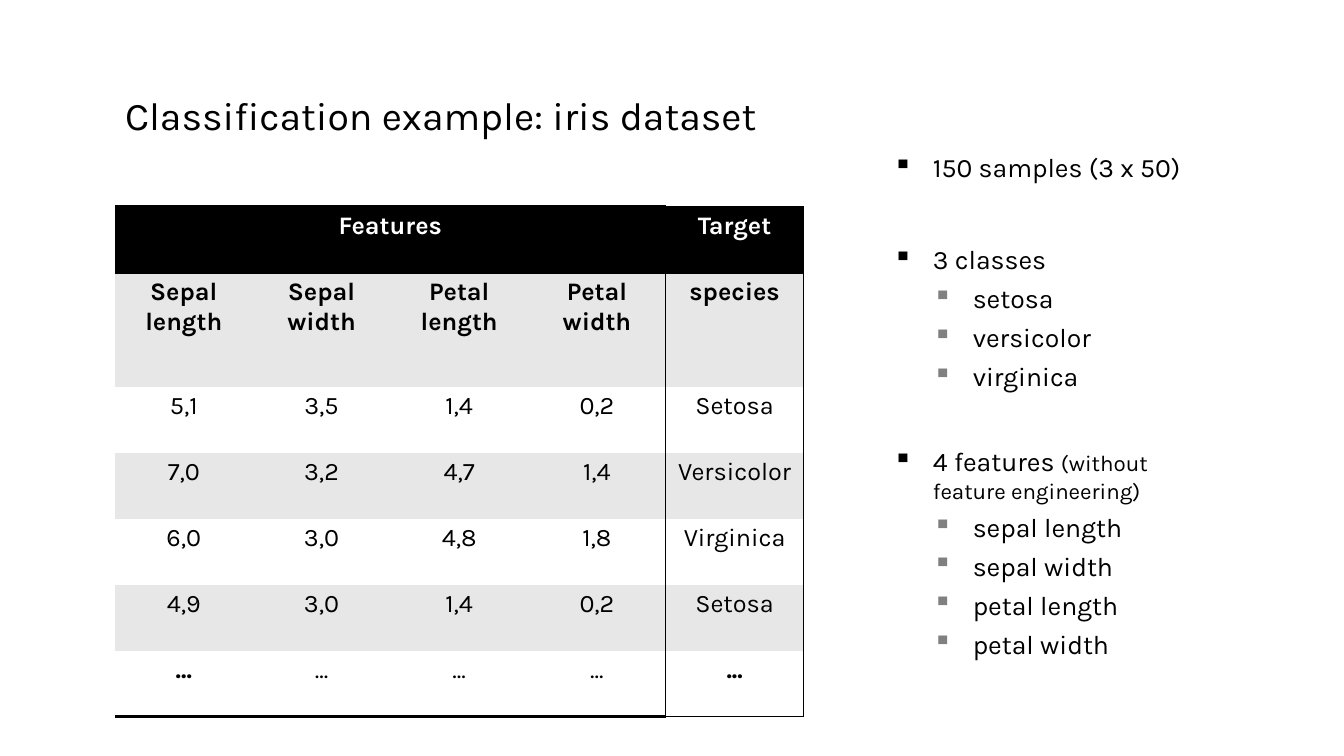
from lxml.etree import SubElement
from pptx import Presentation
from pptx.dml.color import RGBColor
from pptx.enum.text import MSO_ANCHOR, PP_ALIGN
from pptx.oxml.ns import qn
from pptx.util import Inches, Pt

BLACK = RGBColor(0, 0, 0)
WHITE = RGBColor(255, 255, 255)
LIGHT = RGBColor(231, 231, 231)
GREY = RGBColor(128, 128, 128)


def add_run(para, text, size, color=BLACK, bold=False):
    run = para.add_run()
    run.text = text
    look = {"name": "Karla", "size": Pt(size), "bold": bold}
    for key, value in look.items():
        setattr(run.font, key, value)
    run.font.color.rgb = color


def add_fill(parent, color):
    fill = SubElement(parent, qn("a:solidFill"))
    SubElement(fill, qn("a:srgbClr"), val=str(color))


deck = Presentation()
deck.slide_width, deck.slide_height = Inches(13.33), Inches(7.5)
slide = deck.slides.add_slide(deck.slide_layouts[5])

title = slide.shapes.title
place = {"left": 1.14, "top": 0.87, "width": 11.02, "height": 0.59}
for key, value in place.items():
    setattr(title, key, Inches(value))
title.text_frame.vertical_anchor = MSO_ANCHOR.MIDDLE
para = title.text_frame.paragraphs[0]
para.alignment = PP_ALIGN.LEFT
para.line_spacing = 0.9
add_run(para, "Classification example: iris dataset", 28)

rows = [
    ["Features", "", "", "", "Target"],
    ["Sepal length", "Sepal width", "Petal length", "Petal width", "species"],
    ["5,1", "3,5", "1,4", "0,2", "Setosa"],
    ["7,0", "3,2", "4,7", "1,4", "Versicolor"],
    ["6,0", "3,0", "4,8", "1,8", "Virginica"],
    ["4,9", "3,0", "1,4", "0,2", "Setosa"],
    ["..."] * 5,
]
end = len(rows) - 1
wide, high, tall = 6.83, 5.06, 1.13
frame = slide.shapes.add_table(
    len(rows), 5, Inches(1.14), Inches(2.05), Inches(wide), Inches(high))
table = frame.table
for col in table.columns:
    col.width = Inches(wide / 5)
for r, row in enumerate(table.rows):
    row.height = Inches(tall if r == 1 else (high - tall) / end)
table.cell(0, 0).merge(table.cell(0, 3))

for r, row in enumerate(rows):
    for c, text in enumerate(row):
        cell = table.cell(r, c)
        edge = 1 if c == 4 else 2
        sides = {
            "L": 1 if c == 4 else 0,
            "R": 1 if c >= 3 else 0,
            "T": {0: edge, 1: 2}.get(r, 0),
            "B": {0: 2, end: edge}.get(r, 0),
        }
        props = cell._tc.get_or_add_tcPr()
        for side, width in sides.items():
            line = SubElement(props, qn("a:ln" + side), w=str(Pt(width)))
            if width:
                add_fill(line, BLACK)
            else:
                SubElement(line, qn("a:noFill"))
        cell.fill.solid()
        cell.fill.fore_color.rgb = BLACK if r == 0 else LIGHT if r % 2 else WHITE
        if text:
            para = cell.text_frame.paragraphs[0]
            para.alignment = PP_ALIGN.CENTER
            bold = r < 2 or (r == end and c in (0, 4))
            add_run(para, text, 18, BLACK if r else WHITE, bold)

notes = [
    (0, 0, "150 samples (3 x 50)"),
    (0, 43, "3 classes"),
    (1, 5, "setosa"),
    (1, 5, "versicolor"),
    (1, 5, "virginica"),
    (0, 38, "4 features "),
    (1, 5, "sepal length"),
    (1, 5, "sepal width"),
    (1, 5, "petal length"),
    (1, 5, "petal width"),
]
box = slide.shapes.add_textbox(
    Inches(8.76), Inches(1.45), Inches(3.1), Inches(5.79))
body = box.text_frame
body.word_wrap = True
for i, (level, space, text) in enumerate(notes):
    para = body.add_paragraph() if i else body.paragraphs[0]
    para.level = level
    para.space_before = Pt(space)
    props = para._p.get_or_add_pPr()
    props.set("marL", str(Inches(0.395 * (level + 1))))
    props.set("indent", str(Inches(-0.395)))
    tint = SubElement(props, qn("a:buClr"))
    SubElement(tint, qn("a:srgbClr"), val=str(GREY if level else BLACK))
    SubElement(props, qn("a:buChar"), char="▪")
    add_run(para, text, 19)
    if text.startswith("4"):
        add_run(para, "(without feature engineering)", 16)

deck.save("out.pptx")
